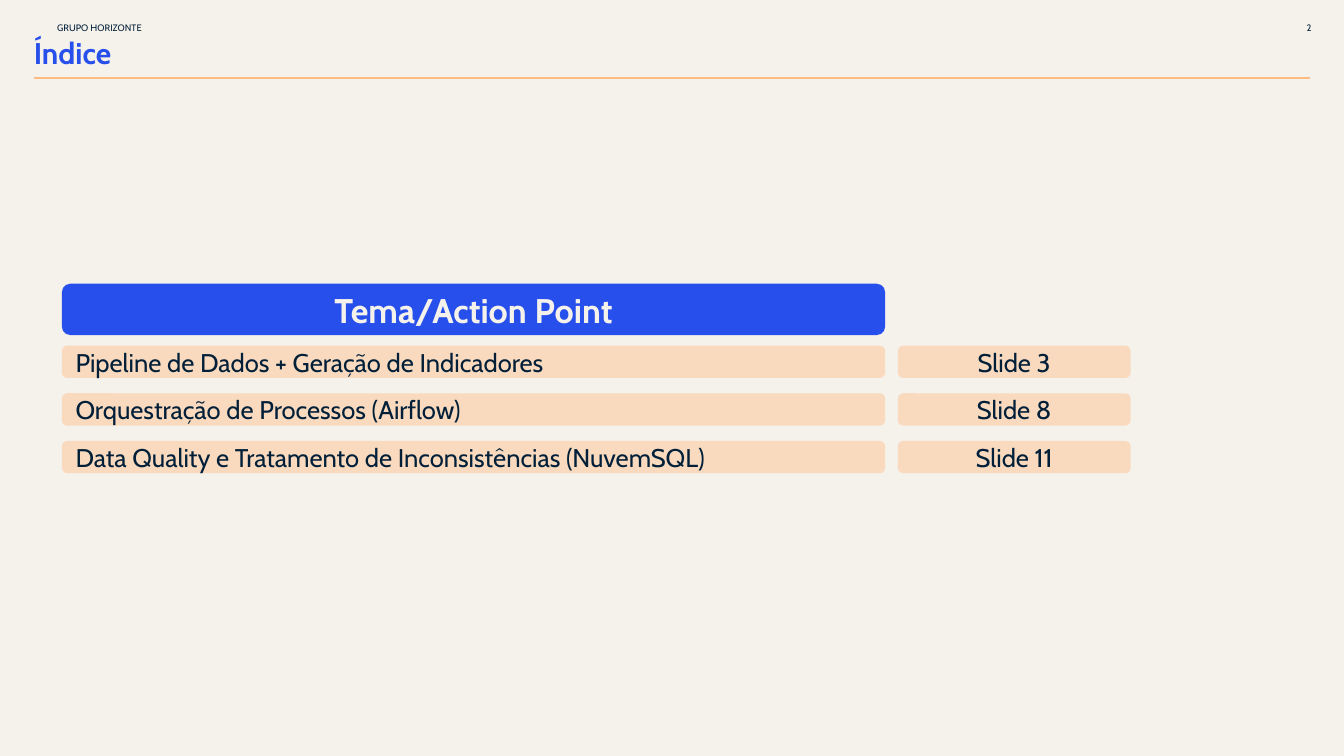
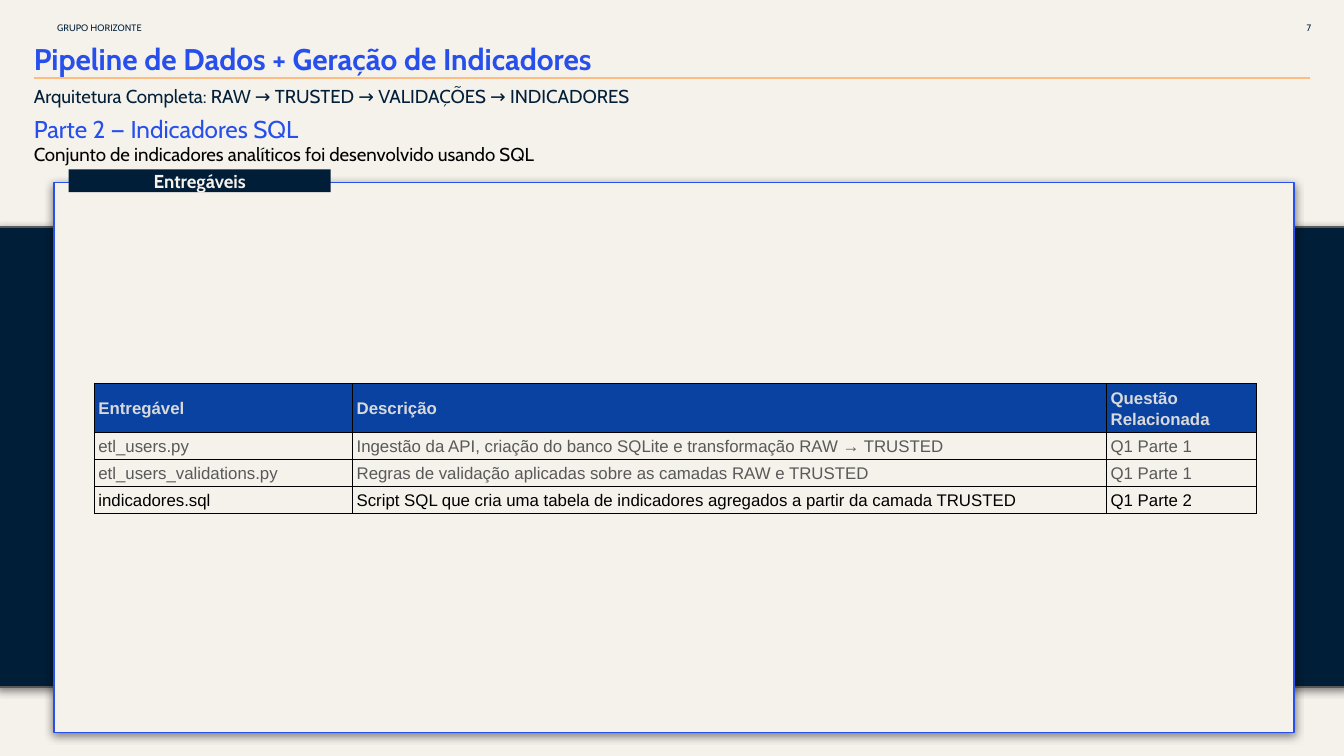
from dataclasses import dataclass

from lxml import etree
from pptx import Presentation
from pptx.dml.color import RGBColor
from pptx.enum.shapes import MSO_CONNECTOR, MSO_SHAPE
from pptx.enum.text import MSO_ANCHOR, MSO_AUTO_SIZE, PP_ALIGN
from pptx.oxml.ns import qn
from pptx.util import Cm, Pt

LEFT, CENTER = PP_ALIGN.LEFT, PP_ALIGN.CENTER
TOP, MIDDLE, BOTTOM = MSO_ANCHOR.TOP, MSO_ANCHOR.MIDDLE, MSO_ANCHOR.BOTTOM
RECTANGLE, ROUNDED = MSO_SHAPE.RECTANGLE, MSO_SHAPE.ROUNDED_RECTANGLE
TITLE_LAYOUT, TITLE_ONLY_LAYOUT = 0, 5


@dataclass(frozen=True)
class Theme:
    font: str = "Cabin"
    table_font: str = "Arial"
    cream: str = "F5F1EB"
    blue: str = "264FEC"
    navy: str = "001E38"
    ink: str = "011F38"
    peach: str = "FFBC82"
    table_blue: str = "0942A1"
    table_head: str = "D9D9D9"
    grey: str = "595959"
    black: str = "000000"
    tiny: float = 5
    cell: float = 9
    small: float = 10
    section: float = 13
    topic: float = 13.7
    title: float = 16
    banner: float = 18.3
    rule: float = 0.75


THEME = Theme()

# Content
HEADER = "GRUPO HORIZONTE"
INDEX = {
    "title": "Índice",
    "page": "2",
    "banner": "Tema/Action Point",
    "topics": [
        ("Pipeline de Dados + Geração de Indicadores", "Slide 3"),
        ("Orquestração de Processos (Airflow)", "Slide 8"),
        ("Data Quality e Tratamento de Inconsistências (NuvemSQL)", "Slide 11"),
    ],
}
PIPELINE = {
    "title": "Pipeline de Dados + Geração de Indicadores",
    "page": "7",
    "subtitle": "Arquitetura Completa: RAW → TRUSTED → VALIDAÇÕES → INDICADORES",
    "section": "Parte 2 — Indicadores SQL",
    "summary": "Conjunto de indicadores analíticos foi desenvolvido usando SQL",
    "label": "Entregáveis",
    "table": [
        ("Entregável", "Descrição", "Questão Relacionada"),
        ("etl_users.py",
         "Ingestão da API, criação do banco SQLite e transformação RAW → TRUSTED",
         "Q1 Parte 1"),
        ("etl_users_validations.py",
         "Regras de validação aplicadas sobre as camadas RAW e TRUSTED",
         "Q1 Parte 1"),
        ("indicadores.sql",
         "Script SQL que cria uma tabela de indicadores agregados a partir da camada TRUSTED",
         "Q1 Parte 2"),
    ],
}

# Layout, in centimetres
SLIDE_WIDTH, SLIDE_HEIGHT = 25.4, 14.28
MARGIN, CONTENT_WIDTH, LINE_HEIGHT = 0.64, 24.14, 0.69
RULE_TOP = 1.47
TOPIC_LEFT, TOPIC_WIDTH = 1.17, 15.56
PAGE_LEFT, PAGE_WIDTH = 16.97, 4.4
TOPIC_TOP, TOPIC_HEIGHT, TOPIC_PITCH = 6.53, 0.61, 0.9
COLUMN_WIDTHS = (4.88, 14.25, 2.84)
ROW_HEIGHTS = (0.91, 0.51, 0.51, 0.51)


def color(code):
    return RGBColor.from_string(code)


def write(frame, text, size, ink, bold=False, align=LEFT, anchor=TOP, inset=0, font=THEME.font):
    """Fill a text frame with one formatted paragraph."""
    frame.word_wrap = True
    frame.auto_size = MSO_AUTO_SIZE.NONE
    frame.vertical_anchor = anchor
    frame.margin_left = frame.margin_right = Cm(inset)
    frame.margin_top = frame.margin_bottom = 0
    frame.text = text
    style_paragraph(frame.paragraphs[0], size, ink, bold, align, font)


def style_paragraph(paragraph, size, ink, bold, align, font):
    paragraph.alignment = align
    paragraph.space_before = Pt(0)
    for run in paragraph.runs:
        run.font.size = Pt(size)
        run.font.bold = bold
        run.font.name = font
        run.font.color.rgb = color(ink)


def place(shape, left, top, width, height):
    shape.left, shape.top = Cm(left), Cm(top)
    shape.width, shape.height = Cm(width), Cm(height)


def add_text(slide, box, text, size, ink, **style):
    shape = slide.shapes.add_textbox(*map(Cm, box))
    write(shape.text_frame, text, size, ink, **style)


def add_block(slide, kind, box, fill, line=None, alpha=None, shadow=False):
    shape = slide.shapes.add_shape(kind, *map(Cm, box))
    shape.shadow.inherit = False
    shape.fill.solid()
    shape.fill.fore_color.rgb = color(fill)
    if line:
        shape.line.color.rgb = color(line)
        shape.line.width = Pt(THEME.rule)
    else:
        shape.line.fill.background()
    properties = shape._element.spPr
    if alpha:
        fill_color = properties.find(qn("a:solidFill"))[0]
        etree.SubElement(fill_color, qn("a:alpha"), val=str(alpha * 1000))
    if shadow:
        effects = properties.find(qn("a:effectLst"))
        outer = etree.SubElement(
            effects, qn("a:outerShdw"), blurRad=str(Pt(4.5)), dist=str(Pt(1.5)),
            dir="5400000", algn="bl", rotWithShape="0")
        shade = etree.SubElement(outer, qn("a:srgbClr"), val=THEME.black)
        etree.SubElement(shade, qn("a:alpha"), val="50000")
    return shape


def start_slide(presentation, layout, content, title_top):
    """Add a slide with the shared rule, header, page number and title."""
    slide = presentation.slides.add_slide(presentation.slide_layouts[layout])
    rule = slide.shapes.add_connector(
        MSO_CONNECTOR.STRAIGHT, Cm(MARGIN), Cm(RULE_TOP),
        Cm(SLIDE_WIDTH - MARGIN), Cm(RULE_TOP))
    rule.line.color.rgb = color(THEME.peach)
    rule.line.width = Pt(THEME.rule)
    etree.SubElement(rule._element.spPr, qn("a:effectLst"))
    add_text(slide, (24.56, 0.36, 0.36, 0.33), content["page"], THEME.tiny, THEME.ink,
             align=CENTER, anchor=MIDDLE)
    add_text(slide, (1.04, 0.36, 1.78, 0.33), HEADER, THEME.tiny, THEME.ink,
             anchor=MIDDLE, inset=0.04)
    title = slide.shapes.title
    place(title, MARGIN, title_top, CONTENT_WIDTH, LINE_HEIGHT)
    write(title.text_frame, content["title"], THEME.title, THEME.blue, bold=True)
    return slide


def set_borders(cell):
    properties = cell._tc.get_or_add_tcPr()
    for position, side in enumerate(("a:lnL", "a:lnR", "a:lnT", "a:lnB")):
        border = etree.Element(qn(side), w=str(Pt(0.5)))
        fill = etree.SubElement(border, qn("a:solidFill"))
        etree.SubElement(fill, qn("a:srgbClr"), val=THEME.black)
        properties.insert(position, border)


def add_deliverables(slide, rows):
    frame = slide.shapes.add_table(
        len(rows), len(COLUMN_WIDTHS), Cm(1.78), Cm(7.24),
        Cm(sum(COLUMN_WIDTHS)), Cm(sum(ROW_HEIGHTS)))
    table = frame.table
    table.horz_banding = False
    for column, width in zip(table.columns, COLUMN_WIDTHS):
        column.width = Cm(width)
    for index, (row, height, texts) in enumerate(zip(table.rows, ROW_HEIGHTS, rows)):
        row.height = Cm(height)
        is_head, is_last = index == 0, index == len(rows) - 1
        ink = THEME.table_head if is_head else THEME.black if is_last else THEME.grey
        for cell, text in zip(row.cells, texts):
            cell.text = text
            cell.vertical_anchor = MIDDLE if is_head else BOTTOM
            cell.margin_left = cell.margin_right = Cm(0.08)
            cell.margin_top = cell.margin_bottom = Cm(0.05)
            paragraph = cell.text_frame.paragraphs[0]
            paragraph.line_spacing = 1.15
            style_paragraph(paragraph, THEME.cell, ink, is_head, LEFT, THEME.table_font)
            if is_head:
                cell.fill.solid()
                cell.fill.fore_color.rgb = color(THEME.table_blue)
            else:
                cell.fill.background()
            set_borders(cell)


def build_index(presentation):
    slide = start_slide(presentation, TITLE_ONLY_LAYOUT, INDEX, 0.66)
    banner = add_block(slide, ROUNDED, (TOPIC_LEFT, 5.36, TOPIC_WIDTH, 0.97), THEME.blue)
    write(banner.text_frame, INDEX["banner"], THEME.banner, THEME.cream, bold=True,
          align=CENTER, anchor=MIDDLE, inset=0.38)
    # One topic pill and one page pill per row
    for index, (topic, page) in enumerate(INDEX["topics"]):
        top = TOPIC_TOP + index * TOPIC_PITCH
        for text, left, width, align, inset in (
            (topic, TOPIC_LEFT, TOPIC_WIDTH, LEFT, 0.23),
            (page, PAGE_LEFT, PAGE_WIDTH, CENTER, 0.38),
        ):
            pill = add_block(slide, ROUNDED, (left, top, width, TOPIC_HEIGHT),
                             THEME.peach, alpha=42)
            write(pill.text_frame, text, THEME.topic, THEME.ink,
                  align=align, anchor=MIDDLE, inset=inset)


def build_pipeline(presentation):
    slide = start_slide(presentation, TITLE_LAYOUT, PIPELINE, 0.76)
    subtitle = slide.placeholders[1]
    place(subtitle, MARGIN, 1.6, CONTENT_WIDTH, 0.66)
    write(subtitle.text_frame, PIPELINE["subtitle"], THEME.small, THEME.ink)
    add_text(slide, (MARGIN, 2.16, 12.55, LINE_HEIGHT), PIPELINE["section"],
             THEME.section, THEME.blue)
    add_text(slide, (MARGIN, 2.69, 12.14, LINE_HEIGHT), PIPELINE["summary"],
             THEME.small, THEME.black)
    # Band, panel and its label
    add_block(slide, RECTANGLE, (-0.05, 4.29, 25.55, 8.69), THEME.navy,
              line=THEME.grey, shadow=True)
    add_block(slide, RECTANGLE, (1.02, 3.45, 23.44, 10.39), THEME.cream,
              line=THEME.blue, shadow=True)
    label = add_block(slide, RECTANGLE, (1.3, 3.2, 4.95, 0.43), THEME.navy)
    write(label.text_frame, PIPELINE["label"], THEME.small, THEME.cream,
          bold=True, align=CENTER)
    add_deliverables(slide, PIPELINE["table"])


def main():
    presentation = Presentation()
    presentation.slide_width, presentation.slide_height = Cm(SLIDE_WIDTH), Cm(SLIDE_HEIGHT)
    background = presentation.slide_master.background.fill
    background.solid()
    background.fore_color.rgb = color(THEME.cream)
    build_index(presentation)
    build_pipeline(presentation)
    presentation.save("out.pptx")


if __name__ == "__main__":
    main()
